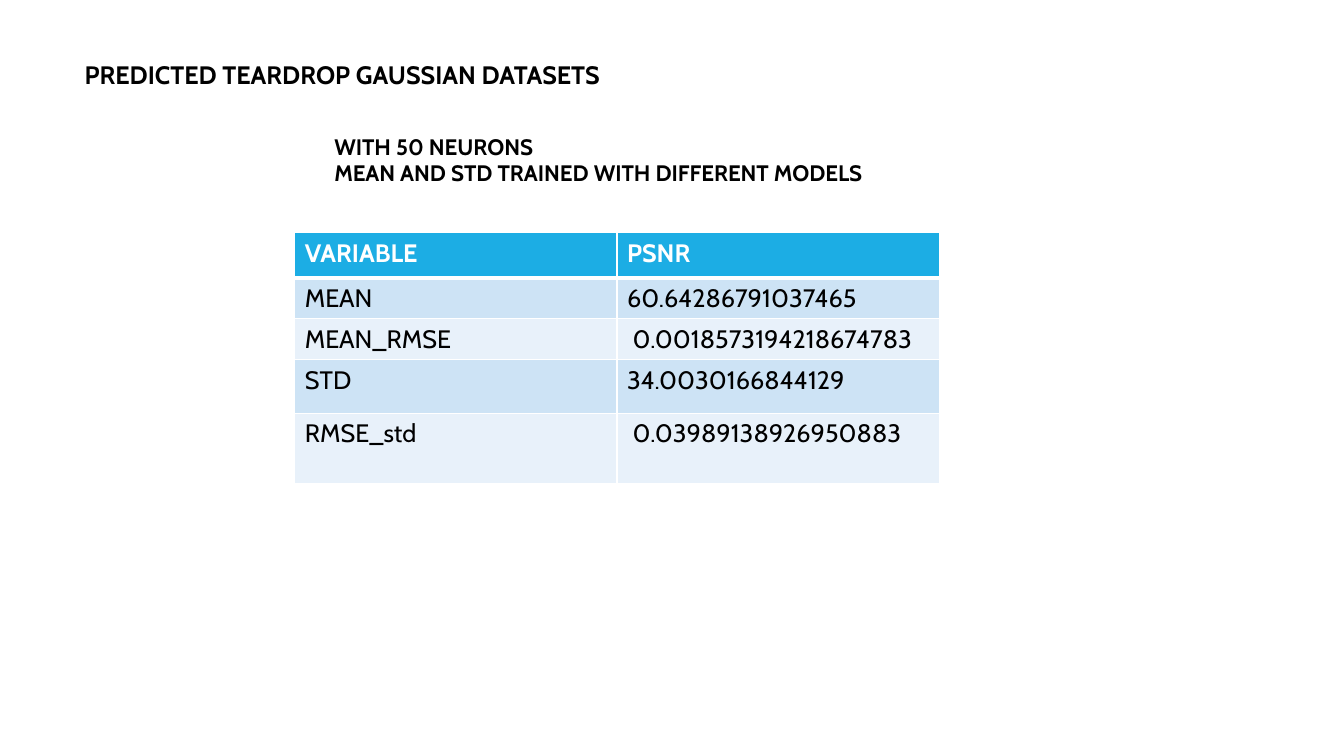
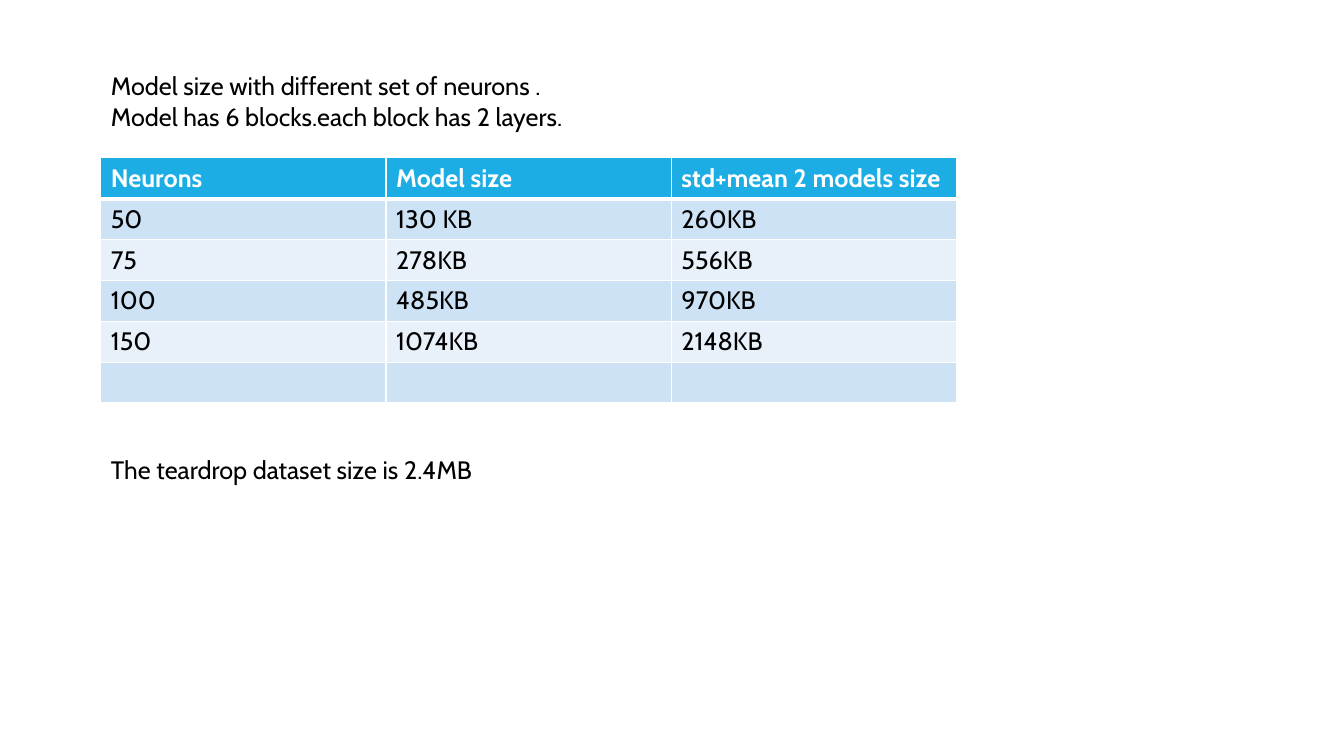
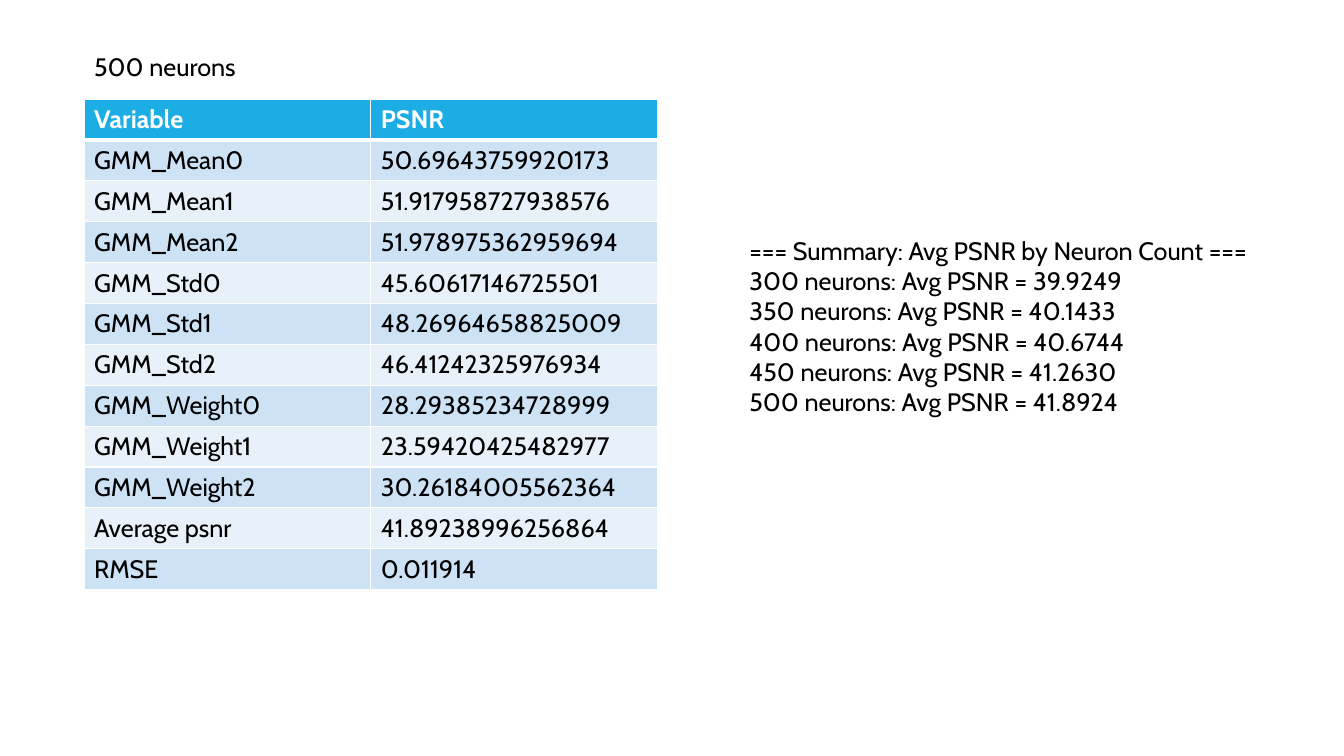
from dataclasses import dataclass

from lxml import etree
from pptx import Presentation
from pptx.dml.color import RGBColor
from pptx.enum.text import MSO_ANCHOR, MSO_AUTO_SIZE, PP_ALIGN
from pptx.oxml.ns import qn
from pptx.util import Inches, Pt

TOP, LEFT, NO_FIT = MSO_ANCHOR.TOP, PP_ALIGN.LEFT, MSO_AUTO_SIZE.NONE
TITLE_AND_CONTENT = 1
COLUMNS = 16
SLIDE_WIDTH, SLIDE_HEIGHT = Inches(13.33), Inches(7.5)


@dataclass(frozen=True)
class Theme:
    font: str = "Cabin"
    ink: str = "000000"
    paper: str = "FFFFFF"
    header: str = "1CADE4"
    bands: tuple = ("CDE3F5", "E8F1FA")
    text_size: int = 18
    small_size: int = 16
    rule: int = 1
    header_rule: int = 3
    row: float = 0.48


THEME = Theme()


def grid(units):
    """Length of a number of square grid units, 16 to the slide's width."""
    return round(units * SLIDE_WIDTH / COLUMNS)


def write(frame, lines, size=THEME.text_size, bold=False, color=THEME.ink):
    for index, line in enumerate(lines):
        paragraph = frame.paragraphs[0] if index == 0 else frame.add_paragraph()
        paragraph.alignment = LEFT
        paragraph.space_before = Pt(0)
        run = paragraph.add_run()
        run.text = line
        font = run.font
        font.name, font.size, font.bold = THEME.font, Pt(size), bold
        font.color.rgb = RGBColor.from_string(color)


def fill_placeholder(placeholder, box, lines, **text_format):
    placeholder.left, placeholder.top, placeholder.width, placeholder.height = map(grid, box)
    frame = placeholder.text_frame
    frame.word_wrap, frame.auto_size, frame.vertical_anchor = True, NO_FIT, TOP
    write(frame, lines, **text_format)
    for paragraph in frame.paragraphs:
        properties = paragraph._p.get_or_add_pPr()
        properties.set("marL", "0")
        properties.set("indent", "0")
        etree.SubElement(properties, qn("a:buNone"))


def set_borders(cell, **widths):
    properties = cell._tc.get_or_add_tcPr()
    for side in "LRTB":
        width = widths.get(side, THEME.rule)
        line = etree.SubElement(properties, qn(f"a:ln{side}"), w=str(Pt(width)))
        solid = etree.SubElement(line, qn("a:solidFill"))
        etree.SubElement(solid, qn("a:srgbClr"), val=THEME.paper)


def add_data_table(slide, left, top, width, records, row_heights=None):
    """Table with a header row and bands; row heights are in grid units."""
    heights = row_heights or [THEME.row] * len(records)
    table = slide.shapes.add_table(len(records), len(records[0]), grid(left), grid(top),
                                   grid(width), grid(sum(heights))).table
    for number, (record, height) in enumerate(zip(records, heights)):
        table.rows[number].height = grid(height)
        is_header = number == 0
        fill = THEME.header if is_header else THEME.bands[(number - 1) % 2]
        color = THEME.paper if is_header else THEME.ink
        thick_side = {0: {"B": THEME.header_rule}, 1: {"T": THEME.header_rule}}.get(number, {})
        for column, value in enumerate(record):
            cell = table.cell(number, column)
            set_borders(cell, **thick_side)
            cell.fill.solid()
            cell.fill.fore_color.rgb = RGBColor.from_string(fill)
            write(cell.text_frame, [value], bold=is_header, color=color)


def add_result_slide(deck, title, body, table):
    slide = deck.slides.add_slide(deck.slide_layouts[TITLE_AND_CONTENT])
    fill_placeholder(slide.shapes.title, **title)
    fill_placeholder(slide.placeholders[1], **body)
    add_data_table(slide, **table)


RESULT_SLIDES = [
    dict(
        title=dict(box=(0.82, 0.65, 7.92, 0.48), bold=True,
                   lines=[" PREDICTED TEARDROP GAUSSIAN DATASETS"]),
        body=dict(box=(3.86, 1.52, 6.77, 0.77), bold=True, size=THEME.small_size,
                  lines=["WITH 50 NEURONS", "MEAN AND STD TRAINED WITH DIFFERENT MODELS"]),
        table=dict(left=3.51, top=2.77, width=7.67,
                   row_heights=[0.54, THEME.row, THEME.row, 0.64, 0.84],
                   records=[("VARIABLE", "PSNR"),
                            ("MEAN", "60.64286791037465"),
                            ("MEAN_RMSE", " 0.0018573194218674783"),
                            ("STD", "34.0030166844129"),
                            ("RMSE_std", " 0.03989138926950883")]),
    ),
    dict(
        title=dict(box=(1.2, 0.78, 8.96, 0.84),
                   lines=["Model size with different set of neurons .",
                          "Model has 6 blocks.each block has 2 layers."]),
        body=dict(box=(1.2, 5.35, 11.27, 0.48),
                  lines=["The teardrop dataset size is 2.4MB"]),
        table=dict(left=1.2, top=1.88, width=10.19,
                   records=[("Neurons", "Model size", "std+mean 2 models size"),
                            ("50", "130 KB", "260KB"),
                            ("75", "278KB", "556KB"),
                            ("100", "485KB", "970KB"),
                            ("150", "1074KB", "2148KB"),
                            ("", "", "")]),
    ),
    dict(
        title=dict(box=(1, 0.55, 4.87, 0.48), lines=["500 neurons"]),
        body=dict(box=(8.8, 2.74, 6.72, 2.3),
                  lines=["=== Summary: Avg PSNR by Neuron Count ===",
                         "300 neurons: Avg PSNR = 39.9249",
                         "350 neurons: Avg PSNR = 40.1433",
                         "400 neurons: Avg PSNR = 40.6744",
                         "450 neurons: Avg PSNR = 41.2630",
                         "500 neurons: Avg PSNR = 41.8924"]),
        table=dict(left=1, top=1.18, width=6.83,
                   records=[("Variable", "PSNR"),
                            ("GMM_Mean0", "50.69643759920173"),
                            ("GMM_Mean1", "51.917958727938576"),
                            ("GMM_Mean2", "51.978975362959694"),
                            ("GMM_Std0", "45.60617146725501"),
                            ("GMM_Std1", "48.26964658825009"),
                            ("GMM_Std2", "46.41242325976934"),
                            ("GMM_Weight0", "28.29385234728999"),
                            ("GMM_Weight1", "23.59420425482977"),
                            ("GMM_Weight2", "30.26184005562364"),
                            ("Average psnr", "41.89238996256864"),
                            ("RMSE", "0.011914")]),
    ),
]


def main():
    deck = Presentation()
    deck.slide_width, deck.slide_height = SLIDE_WIDTH, SLIDE_HEIGHT
    for content in RESULT_SLIDES:
        add_result_slide(deck, **content)
    deck.save("out.pptx")


if __name__ == "__main__":
    main()
